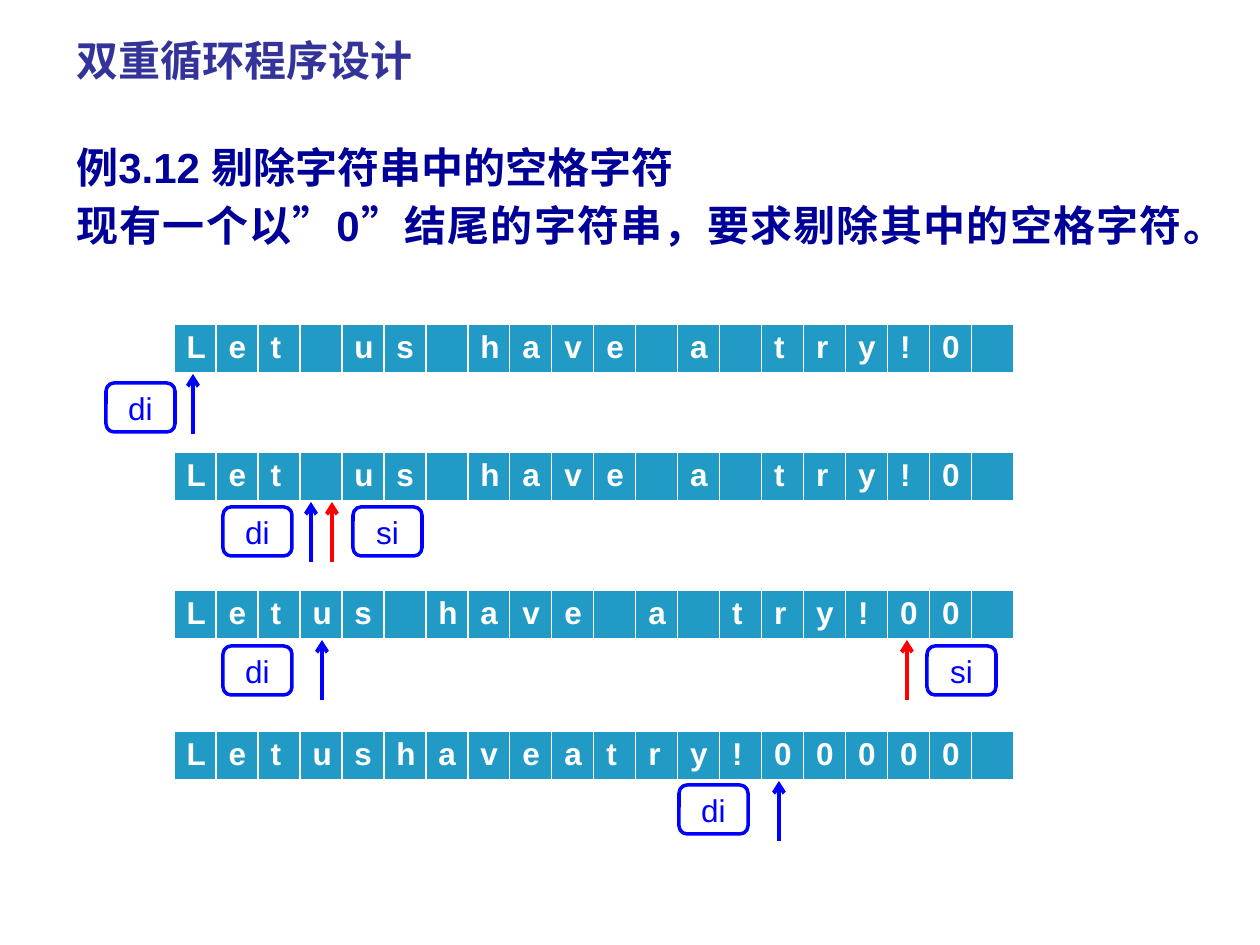
from lxml.etree import SubElement
from pptx import Presentation
from pptx.dml.color import RGBColor
from pptx.enum.shapes import MSO_CONNECTOR, MSO_SHAPE
from pptx.enum.text import MSO_ANCHOR, PP_ALIGN
from pptx.oxml.ns import qn
from pptx.util import Pt

SCALE = 914400 / 126
FONT = "Arial"
COLORS = {
    "title": "333399",
    "body": "000099",
    "cell": "219AC5",
    "white": "FFFFFF",
    "blue": "0000FF",
    "red": "FF0000",
}

TITLE = "双重循环程序设计"
BODY = [
    "例3.12 剔除字符串中的空格字符",
    "现有一个以”0”结尾的字符串，要求剔除其中的空格字符。",
]

TABLE_LEFT, CELL_WIDTH, CELL_HEIGHT = 174, 42, 50
ARROW_LENGTH = 60
LABEL_WIDTH, LABEL_HEIGHT = 69, 49

# Each step: table top, label top, characters, pointers (name, label left, arrow x, arrow colour)
STEPS = [
    (324, 383, "Let us have a try!0 ", [("di", 106, 193, "blue")]),
    (452, 507, "Let us have a try!0 ",
     [("di", 223, 311, "blue"), ("si", 353, 332, "red")]),
    (590, 646, "Letus have a try!00 ",
     [("di", 223, 322, "blue"), ("si", 927, 907, "red")]),
    (731, 785, "Letushaveatry!00000 ", [("di", 679, 779, "blue")]),
]


def px(*lengths):
    return [round(length * SCALE) for length in lengths]


def rgb(name):
    return RGBColor.from_string(COLORS[name])


def format_runs(paragraph, size, color, bold=False):
    for span in paragraph.runs:
        span.font.name = FONT
        span.font.size = Pt(size)
        span.font.bold = bold
        span.font.color.rgb = rgb(color)


def add_title(page):
    title = page.shapes.title
    title.left, title.top, title.width, title.height = px(64, 25, 1022, 69)
    frame = title.text_frame
    frame.text = TITLE
    frame.vertical_anchor = MSO_ANCHOR.MIDDLE
    frame.paragraphs[0].alignment = PP_ALIGN.LEFT
    format_runs(frame.paragraphs[0], 24, "title", bold=True)


def add_body(page):
    frame = page.shapes.add_textbox(*px(64, 135, 1132, 725)).text_frame
    frame.word_wrap = True
    frame.text = "\n".join(BODY)
    for paragraph in frame.paragraphs:
        paragraph.alignment = PP_ALIGN.JUSTIFY
        format_runs(paragraph, 24, "body", bold=True)
    statement = frame.paragraphs[1]
    statement.space_before = Pt(4.8)
    indent, = px(37)
    properties = statement._p.get_or_add_pPr()
    properties.set("marL", str(indent))
    properties.set("indent", str(-indent))


def set_borders(cell):
    properties = cell._tc.get_or_add_tcPr()
    for side, points in (("L", 1), ("R", 1), ("T", 1), ("B", 3)):
        line = SubElement(properties, qn(f"a:ln{side}"), w=str(Pt(points)))
        fill = SubElement(line, qn("a:solidFill"))
        SubElement(fill, qn("a:srgbClr"), val=COLORS["white"])


def add_characters(page, top, characters):
    """Draw a one-row table with one character in each cell."""
    count = len(characters)
    table = page.shapes.add_table(
        1, count, *px(TABLE_LEFT, top, CELL_WIDTH * count, CELL_HEIGHT)).table
    for column, character in enumerate(characters):
        table.columns[column].width, = px(CELL_WIDTH)
        cell = table.cell(0, column)
        cell.text = character.strip()
        format_runs(cell.text_frame.paragraphs[0], 18, "white", bold=True)
        set_borders(cell)
        cell.fill.solid()
        cell.fill.fore_color.rgb = rgb("cell")


def add_arrow(page, x, tip, color):
    arrow = page.shapes.add_connector(
        MSO_CONNECTOR.STRAIGHT, *px(x, tip + ARROW_LENGTH, x, tip))
    arrow.line.color.rgb = rgb(color)
    arrow.line.width = Pt(2.25)
    SubElement(arrow.line._get_or_add_ln(), qn("a:tailEnd"), type="arrow")
    SubElement(arrow._element.spPr, qn("a:effectLst"))


def add_label(page, left, top, name):
    box = page.shapes.add_shape(
        MSO_SHAPE.ROUNDED_RECTANGLE, *px(left, top, LABEL_WIDTH, LABEL_HEIGHT))
    box.shadow.inherit = False
    box.fill.solid()
    box.fill.fore_color.rgb = rgb("white")
    box.line.color.rgb = rgb("blue")
    box.line.width = Pt(2)
    frame = box.text_frame
    frame.margin_left = frame.margin_right = 0
    frame.margin_top = frame.margin_bottom = 0
    frame.vertical_anchor = MSO_ANCHOR.MIDDLE
    frame.text = name
    frame.paragraphs[0].alignment = PP_ALIGN.CENTER
    format_runs(frame.paragraphs[0], 18, "blue")


def main():
    deck = Presentation()
    deck.slide_width, deck.slide_height = px(1260, 945)
    page = deck.slides.add_slide(deck.slide_layouts.get_by_name("Title Only"))
    add_title(page)
    add_body(page)
    for top, label_top, characters, pointers in STEPS:
        add_characters(page, top, characters)
        for name, label_left, arrow_x, color in pointers:
            add_arrow(page, arrow_x, top + CELL_HEIGHT, color)
            add_label(page, label_left, label_top, name)
    deck.save("out.pptx")


if __name__ == "__main__":
    main()
